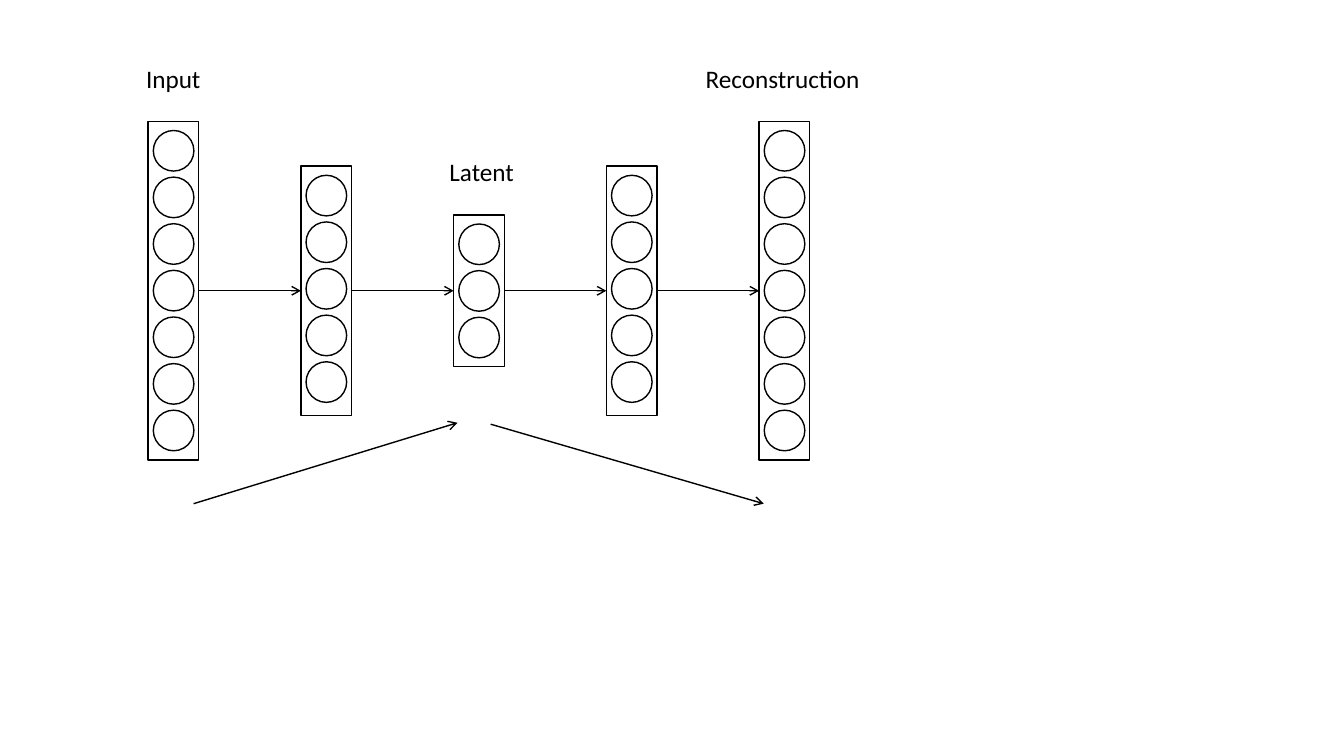
from pptx import Presentation
from pptx.dml.color import RGBColor
from pptx.enum.shapes import MSO_CONNECTOR, MSO_SHAPE
from pptx.enum.text import MSO_AUTO_SIZE
from pptx.oxml.ns import qn
from pptx.util import Pt
from lxml.etree import SubElement

COLORS = {"ink": "000000"}
FONT = "Calibri"
LEFT, STEP, WIDTH = 105.8, 109.1, 36.2
MID = 207.7
DOT, PITCH = 29, 33.3
PAD_X, PAD_Y = 3.7, 6.5
LABEL_GAP, LABEL_HIGH = 45.3, 29

# cells, height, label, label width, label shift
LAYERS = [
    (7, 242, "Input", 54, 0.3),
    (5, 178, None, 0, 0),
    (3, 108.4, "Latent", 61, 2.3),
    (5, 178, None, 0, 0),
    (7, 242, "Reconstruction", 126, -0.4),
]
# encoder and decoder spans
SPANS = [((138.3, 359.8), (326.8, 302)), ((350.5, 303), (545.5, 359.8))]


def ink():
    return RGBColor.from_string(COLORS["ink"])


def outline(slide, kind, x, y, w, h):
    shape = slide.shapes.add_shape(kind, Pt(x), Pt(y), Pt(w), Pt(h))
    shape.shadow.inherit = False
    shape.fill.background()
    shape.line.color.rgb = ink()
    shape.line.width = Pt(1)
    return shape


def label(slide, text, x, y, w):
    box = slide.shapes.add_textbox(Pt(x), Pt(y), Pt(w), Pt(LABEL_HIGH))
    frame = box.text_frame
    frame.word_wrap = False
    frame.auto_size = MSO_AUTO_SIZE.SHAPE_TO_FIT_TEXT
    run = frame.paragraphs[0].add_run()
    run.text = text
    run.font.name = FONT
    run.font.size = Pt(18)
    run.font.color.rgb = ink()


def layer(slide, x, cells, high, text, wide, shift):
    """Draw a column of cells centred on MID, with its label above."""
    top = MID - high / 2
    frame = outline(slide, MSO_SHAPE.RECTANGLE, x, top, WIDTH, high)
    for i in range(cells):
        outline(slide, MSO_SHAPE.OVAL, x + PAD_X, top + PAD_Y + i * PITCH, DOT, DOT)
    if text:
        label(slide, text, x + (WIDTH - wide) / 2 + shift, top - LABEL_GAP, wide)
    return frame


def arrow(slide, start=(0, 0), end=(0, 0)):
    line = slide.shapes.add_connector(
        MSO_CONNECTOR.STRAIGHT, *(Pt(v) for v in (*start, *end)))
    line.line.color.rgb = ink()
    line.line.width = Pt(1)
    SubElement(line.line._get_or_add_ln(), qn("a:tailEnd"), type="arrow")
    SubElement(line._element.spPr, qn("a:effectLst"))
    return line


def network(slide):
    frames = [layer(slide, LEFT + i * STEP, *row) for i, row in enumerate(LAYERS)]
    for left, right in zip(frames, frames[1:]):
        link = arrow(slide)
        link.begin_connect(left, 3)
        link.end_connect(right, 1)
    for start, end in SPANS:
        arrow(slide, start, end)


def main():
    deck = Presentation()
    deck.slide_width, deck.slide_height = Pt(960), Pt(540)
    network(deck.slides.add_slide(deck.slide_layouts[6]))
    deck.save("out.pptx")


if __name__ == "__main__":
    main()
